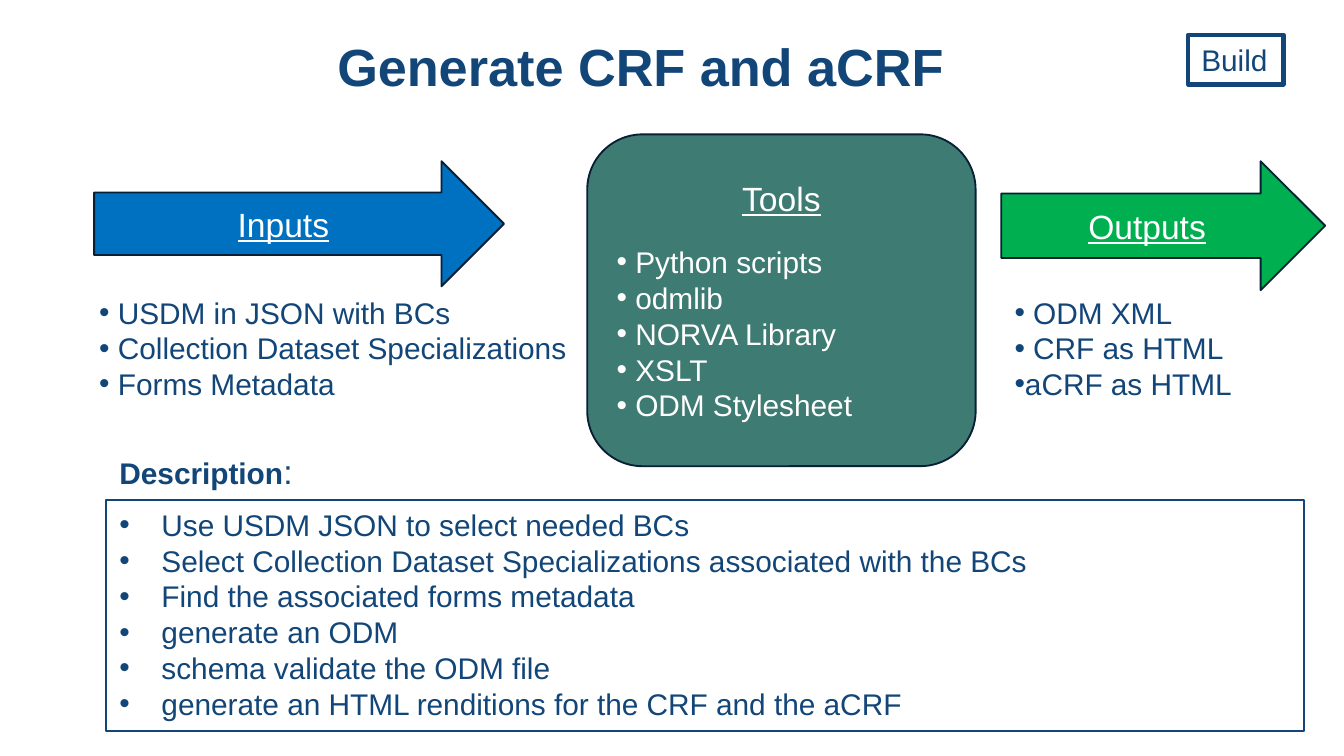
from lxml import etree
from pptx import Presentation
from pptx.dml.color import RGBColor
from pptx.enum import shapes, text
from pptx.oxml import ns
from pptx.util import Pt

NAVY = RGBColor(0x13, 0x46, 0x78)
OUTLINE = RGBColor(0x08, 0x1F, 0x35)
TEAL = RGBColor(0x3E, 0x7B, 0x73)
BLUE = RGBColor(0x00, 0x70, 0xC0)
GREEN = RGBColor(0x00, 0xB0, 0x50)
WHITE = RGBColor(0xFF, 0xFF, 0xFF)

TITLE = "Generate CRF and aCRF"
STAGE = "Build"
ARROWS = [
    ("Inputs", BLUE, (50.4, 86.4, 219.6, 67)),
    ("Outputs", GREEN, (536.4, 86.4, 173.5, 69.1)),
]
TOOLS = ["Python scripts", "odmlib", "NORVA Library", "XSLT", "ODM Stylesheet"]
INPUTS = ["USDM in JSON with BCs", "Collection Dataset Specializations", "Forms Metadata"]
OUTPUTS = ["ODM XML", "CRF as HTML", "aCRF as HTML"]
STEPS = [
    "Use USDM JSON to select needed BCs",
    "Select Collection Dataset Specializations associated with the BCs",
    "Find the associated forms metadata",
    "generate an ODM",
    "schema validate the ODM file",
    "generate an HTML renditions for the CRF and the aCRF",
]
LIST_INDENT, TIGHT_INDENT, STEP_INDENT = 10, 5.6, 22.5

deck = Presentation()
deck.slide_width, deck.slide_height = Pt(720), Pt(405)
page = deck.slides.add_slide(deck.slide_layouts[6])


def add_box(place, kind=None, fill=None, line=None, width=1, anchor=text.MSO_ANCHOR.TOP):
    place = [Pt(value) for value in place]
    if kind is None:
        box = page.shapes.add_textbox(*place)
    else:
        box = page.shapes.add_shape(kind, *place)
        box.shadow.inherit = False
        if fill is None:
            box.fill.background()
        else:
            box.fill.solid()
            box.fill.fore_color.rgb = fill
        box.line.color.rgb = line
        box.line.width = Pt(width)
    box.text_frame.word_wrap = True
    box.text_frame.vertical_anchor = anchor
    return box


def style(para, size=16, color=NAVY, bold=False, underline=False, align=text.PP_ALIGN.LEFT):
    para.alignment = align
    for span in para.runs:
        font = span.font
        font.name, font.size, font.bold, font.underline = "Arial", Pt(size), bold, underline
        font.color.rgb = color


def style_heading(para):
    style(para, 18, WHITE, underline=True, align=text.PP_ALIGN.CENTER)


def style_bullet(para, indent, color=NAVY):
    style(para, color=color)
    props = para._p.get_or_add_pPr()
    props.set("marL", str(Pt(indent)))
    props.set("indent", str(-Pt(indent)))
    etree.SubElement(props, ns.qn("a:buFont")).set("typeface", "Arial")
    etree.SubElement(props, ns.qn("a:buChar")).set("char", "•")


def add_list(box, items, indent):
    box.text_frame.text = "\n".join(items)
    for para in box.text_frame.paragraphs:
        style_bullet(para, indent)


title = add_box((180.7, 15.8, 405.4, 43.2), anchor=text.MSO_ANCHOR.MIDDLE)
frame = title.text_frame
frame.margin_left = frame.margin_right = frame.margin_top = frame.margin_bottom = 0
frame.text = TITLE
frame.paragraphs[0].line_spacing = 0.9
style(frame.paragraphs[0], 28, bold=True)

tools = add_box((314.6, 72, 208.1, 177.8), shapes.MSO_SHAPE.ROUNDED_RECTANGLE,
                TEAL, OUTLINE, anchor=text.MSO_ANCHOR.MIDDLE)
tools.text_frame.text = "\n".join(["Tools"] + TOOLS)
heading, *bullets = tools.text_frame.paragraphs
style_heading(heading)
heading.space_after = Pt(13.8)
for para in bullets:
    style_bullet(para, LIST_INDENT, WHITE)

stage = add_box((636.5, 18.7, 51.1, 26.6), shapes.MSO_SHAPE.RECTANGLE, line=NAVY, width=2.25)
stage.text_frame.text = STAGE
style(stage.text_frame.paragraphs[0])

for label, color, place in ARROWS:
    arrow = add_box(place, shapes.MSO_SHAPE.RIGHT_ARROW, color, OUTLINE,
                    anchor=text.MSO_ANCHOR.MIDDLE)
    arrow.text_frame.text = label
    style_heading(arrow.text_frame.paragraphs[0])

add_list(add_box((46.1, 154.1, 268.6, 65.5)), INPUTS, LIST_INDENT)
outputs = add_box((536.4, 154.1, 173.5, 65.5))
add_list(outputs, OUTPUTS, LIST_INDENT)
last = outputs.text_frame.paragraphs[-1]._p.pPr
last.set("marL", str(Pt(TIGHT_INDENT)))
last.set("indent", str(-Pt(TIGHT_INDENT)))

add_list(add_box((56.9, 267.8, 641.5, 123.8), shapes.MSO_SHAPE.RECTANGLE, WHITE, NAVY),
         STEPS, STEP_INDENT)

description = add_box((56.9, 238.3, 115.9, 28.8))
para = description.text_frame.paragraphs[0]
para.text = "Description"
style(para, bold=True)
colon = para.add_run()
colon.text = ":"
colon.font.name, colon.font.size, colon.font.color.rgb = "Arial", Pt(18), NAVY

deck.save("out.pptx")
